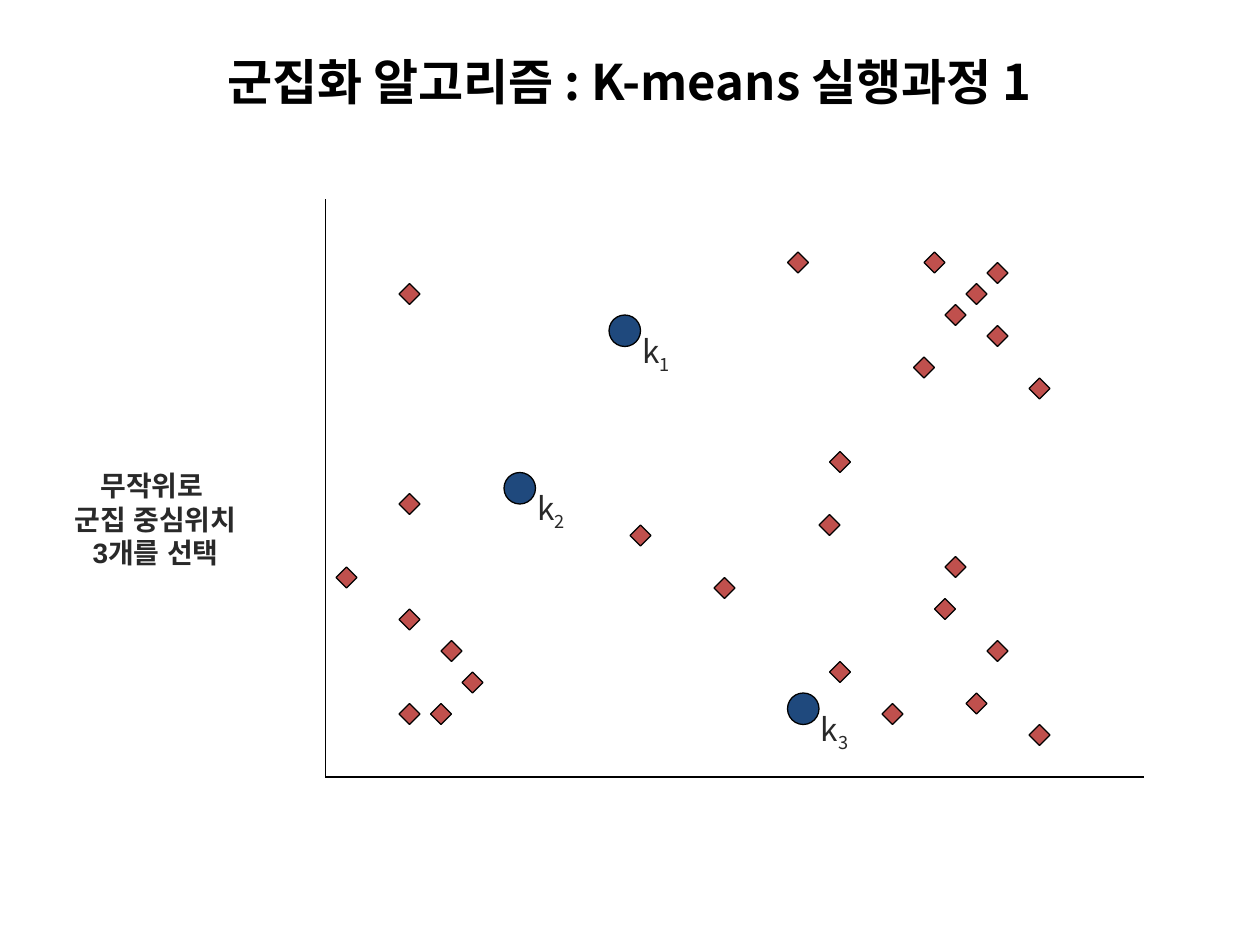
from lxml import etree
from pptx import Presentation
from pptx.dml.color import RGBColor
from pptx.enum.shapes import MSO_CONNECTOR, MSO_SHAPE
from pptx.enum.text import MSO_ANCHOR, PP_ALIGN
from pptx.oxml.ns import qn
from pptx.util import Inches, Pt

BLACK = RGBColor(0x00, 0x00, 0x00)
GRAY = RGBColor(0x29, 0x29, 0x29)
RED = RGBColor(0xC0, 0x50, 0x4D)
BLUE = RGBColor(0x1F, 0x49, 0x7D)
LEFT, CENTER = PP_ALIGN.LEFT, PP_ALIGN.CENTER
TOP, MIDDLE = MSO_ANCHOR.TOP, MSO_ANCHOR.MIDDLE
DIAMOND, OVAL = MSO_SHAPE.DIAMOND, MSO_SHAPE.OVAL
STRAIGHT = MSO_CONNECTOR.STRAIGHT
KOREAN_FONT = "Noto Sans CJK KR"

TITLE = "군집화 알고리즘 : K-means 실행과정 1"
STEP = ["무작위로 ", "군집 중심위치", "3개를 선택"]

# Plot positions are (column, row) on a grid of twelfths of an inch.
CELL = Inches(1) / 12
POINT_SIZE, CENTROID_SIZE = 2, 3
ORIGIN, AXIS_TOP, AXIS_RIGHT = (31, 74), (31, 19), (109, 74)
POINTS = [
    (42, 61), (44, 64), (41, 67), (38, 58), (38, 27), (38, 47), (38, 67),
    (32, 54), (60, 50), (88, 24), (94, 25), (92, 27), (90, 29), (94, 31),
    (98, 36), (75, 24), (79, 43), (79, 63), (84, 67), (89, 57), (78, 49),
    (68, 55), (94, 61), (92, 66), (90, 53), (98, 69), (87, 34),
]
CENTROIDS = {"1": (58, 30), "2": (48, 45), "3": (75, 66)}


def grid(*counts):
    return [round(count * CELL) for count in counts]


def add_text(shapes, place, lines, size, font=KOREAN_FONT, color=GRAY,
             bold=False, align=LEFT, anchor=TOP, wrap=True, subscript=""):
    box = shapes.add_textbox(*place)
    frame = box.text_frame
    frame.word_wrap = wrap
    frame.vertical_anchor = anchor
    for index, line in enumerate(lines):
        para = frame.paragraphs[0] if index == 0 else frame.add_paragraph()
        para.alignment = align
        for text in filter(None, (line, subscript)):
            span = para.add_run()
            span.text = text
            span.font.name = font
            span.font.size = Pt(size)
            span.font.bold = bold
            span.font.color.rgb = color
            properties = span.font._element
            east_asian = etree.SubElement(properties, qn("a:ea"))
            east_asian.set("typeface", font)
            if text == subscript:
                properties.set("baseline", "-25000")


def add_marker(shapes, kind, column, row, size, color):
    marker = shapes.add_shape(kind, *grid(column, row, size, size))
    marker.shadow.inherit = False
    marker.fill.solid()
    marker.fill.fore_color.rgb = color
    marker.line.color.rgb = BLACK
    marker.line.width = Pt(0.75)


def add_axis(shapes, start, end):
    axis = shapes.add_connector(STRAIGHT, *grid(*start, *end))
    axis.line.color.rgb = BLACK
    axis.line.width = Pt(0.75)
    etree.SubElement(axis._element.spPr, qn("a:effectLst"))


def main():
    deck = Presentation()
    deck.slide_width, deck.slide_height = Inches(10), Inches(7.5)
    page = deck.slides.add_slide(deck.slide_layouts[6])

    title_place = [Inches(n) for n in (0.98, 0.45, 8.03, 0.39)]
    add_text(page.shapes, title_place, [TITLE], 28, color=BLACK, bold=True,
             align=CENTER, anchor=MIDDLE)

    for column, row in POINTS:
        add_marker(page.shapes, DIAMOND, column, row, POINT_SIZE, RED)

    for number, (column, row) in CENTROIDS.items():
        group = page.shapes.add_group_shape()
        add_marker(group.shapes, OVAL, column, row, CENTROID_SIZE, BLUE)
        add_text(group.shapes, grid(column + 2, row + 1, 7, 6), ["k"], 18,
                 subscript=number)

    axes = page.shapes.add_group_shape()
    add_axis(axes.shapes, AXIS_TOP, ORIGIN)
    add_axis(axes.shapes, ORIGIN, AXIS_RIGHT)

    step_place = [Inches(n) for n in (0.42, 3.67, 1.63, 0.91)]
    add_text(page.shapes, step_place, STEP, 16, font="Arial", bold=True,
             align=CENTER, wrap=False)

    deck.save("out.pptx")


if __name__ == "__main__":
    main()
